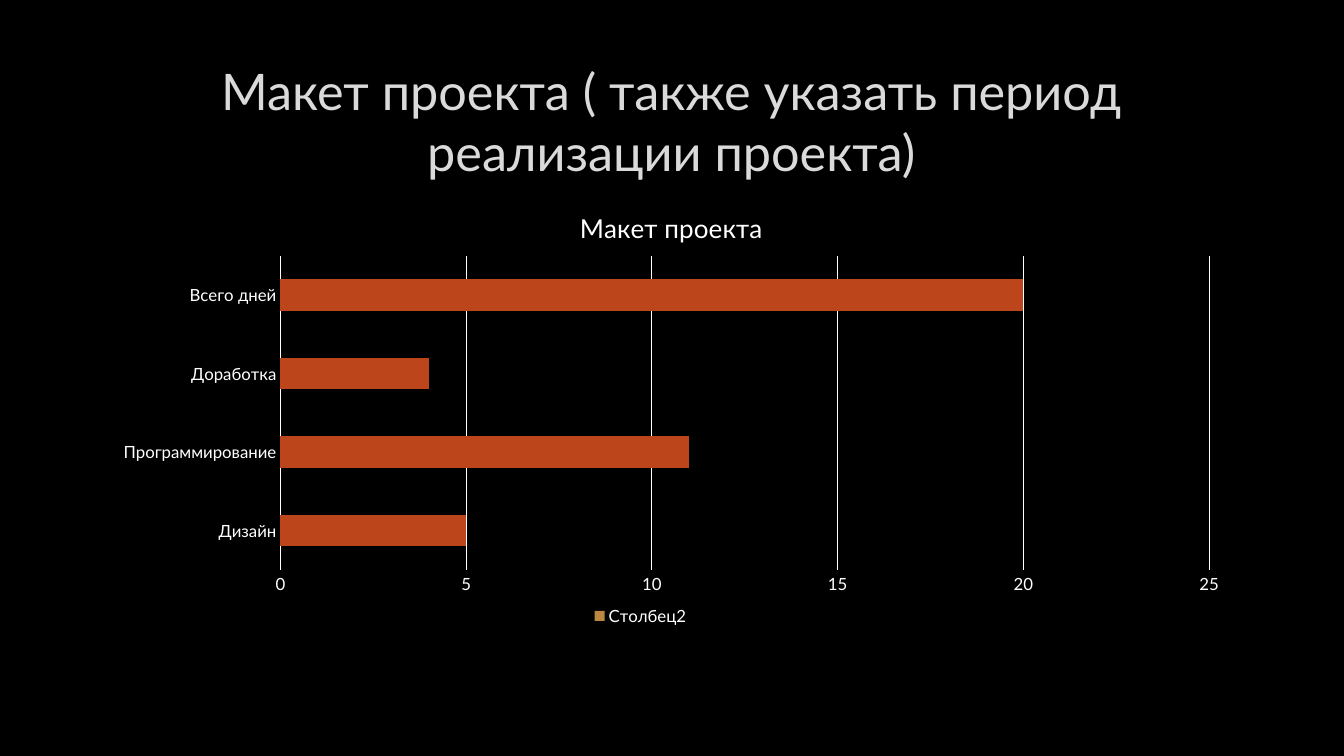
from lxml import etree
from pptx import Presentation
from pptx.chart.data import CategoryChartData
from pptx.dml.color import RGBColor
from pptx.enum.chart import XL_CHART_TYPE, XL_LEGEND_POSITION, XL_TICK_MARK
from pptx.enum.text import MSO_ANCHOR, PP_ALIGN
from pptx.oxml.ns import qn
from pptx.util import Pt

BAR_STACKED = XL_CHART_TYPE.BAR_STACKED
BOTTOM = XL_LEGEND_POSITION.BOTTOM
NO_TICK = XL_TICK_MARK.NONE
MIDDLE = MSO_ANCHOR.MIDDLE
CENTER = PP_ALIGN.CENTER

TITLE = "Макет проекта ( также указать период реализации проекта)"
CHART_TITLE = "Макет проекта"
STAGES = ["Дизайн", "Программирование", "Доработка", "Всего дней"]
# Name, values and colour; the empty series have no legend entry
SERIES = [
    ("Количество дней", [5, 11, 4, 20], "days"),
    ("Столбец1", [None] * 4, "column 1"),
    ("Столбец2", [None] * 4, "column 2"),
]

COLORS = {
    "background": "000000",
    "title": "DADADA",
    "chart": "FFFFFF",
    "days": "BC451B",
    "column 1": "D3BA68",
    "column 2": "BB8640",
}
FONT = "Lato"
SLIDE_SIZE = (960, 540)
LEFT, WIDTH = 72, 815
TITLE_TOP, TITLE_HEIGHT = 48, 76.5
CHART_TOP, CHART_HEIGHT = 136, 320
# Left, top, width and height as percentages of the chart
PLOT_LAYOUT = (15.75, 14.6, 81.4, 70.1)
LEGEND_LAYOUT = (39.8, 92, 15, 6)


def color(name):
    return RGBColor.from_string(COLORS[name])


def set_font(font, size, color_name):
    for attribute, value in {"name": FONT, "size": Pt(size), "bold": False}.items():
        setattr(font, attribute, value)
    font.color.rgb = color(color_name)


def set_line(line):
    line.color.rgb = color("chart")
    line.width = Pt(0.75)


def set_layout(parent, position, percentages, inner=False):
    """Fix a chart part's place; the layout becomes child number `position`."""
    for old_layout in parent.findall(qn("c:layout")):
        parent.remove(old_layout)
    layout = etree.Element(qn("c:layout"))
    manual = etree.SubElement(layout, qn("c:manualLayout"))
    settings = [("layoutTarget", "inner")] if inner else []
    settings += [("xMode", "edge"), ("yMode", "edge")]
    settings += zip("xywh", (value / 100 for value in percentages))
    for tag, value in settings:
        etree.SubElement(manual, qn(f"c:{tag}")).set("val", str(value))
    parent.insert(position, layout)


def hide_legend_entry(legend_element, index):
    entry = etree.Element(qn("c:legendEntry"))
    etree.SubElement(entry, qn("c:idx")).set("val", str(index))
    etree.SubElement(entry, qn("c:delete")).set("val", "1")
    legend_element.insert(index, entry)


def add_title(slide):
    box = slide.shapes.add_textbox(Pt(LEFT), Pt(TITLE_TOP), Pt(WIDTH), Pt(TITLE_HEIGHT))
    frame = box.text_frame
    frame.word_wrap = True
    frame.vertical_anchor = MIDDLE
    paragraph = frame.paragraphs[0]
    paragraph.text = TITLE
    paragraph.alignment = CENTER
    set_font(paragraph.runs[0].font, 36, "title")


def add_days_chart(slide):
    data = CategoryChartData()
    data.categories = STAGES
    for name, values, _ in SERIES:
        data.add_series(name, values)
    chart = slide.shapes.add_chart(
        BAR_STACKED, Pt(LEFT), Pt(CHART_TOP), Pt(WIDTH), Pt(CHART_HEIGHT), data
    ).chart
    set_font(chart.font, 12, "chart")

    chart.has_title = True
    title_paragraph = chart.chart_title.text_frame.paragraphs[0]
    title_paragraph.text = CHART_TITLE
    set_font(title_paragraph.runs[0].font, 18.6, "chart")

    plot = chart.plots[0]
    for attribute, value in {"gap_width": 150, "overlap": 100, "vary_by_categories": False}.items():
        setattr(plot, attribute, value)
    for series, (_, _, color_name) in zip(plot.series, SERIES):
        fill = series.format.fill
        fill.solid()
        fill.fore_color.rgb = color(color_name)

    for axis in (chart.category_axis, chart.value_axis):
        axis.major_tick_mark = axis.minor_tick_mark = NO_TICK
        set_font(axis.tick_labels.font, 12, "chart")
    set_line(chart.category_axis.format.line)
    value_axis = chart.value_axis
    value_axis.format.line.fill.background()
    for attribute, value in {"minimum_scale": 0, "maximum_scale": 25, "major_unit": 5}.items():
        setattr(value_axis, attribute, value)
    set_line(value_axis.major_gridlines.format.line)

    chart.has_legend = True
    legend = chart.legend
    legend.position = BOTTOM
    legend.include_in_layout = False
    set_font(legend.font, 12, "chart")

    chart_element = chart.element.find(qn("c:chart"))
    set_layout(chart_element.find(qn("c:plotArea")), 0, PLOT_LAYOUT, inner=True)
    legend_element = chart_element.find(qn("c:legend"))
    set_layout(legend_element, 1, LEGEND_LAYOUT)
    for index in range(1, len(SERIES)):
        hide_legend_entry(legend_element, index)


def main():
    presentation = Presentation()
    presentation.slide_width, presentation.slide_height = map(Pt, SLIDE_SIZE)
    slide = presentation.slides.add_slide(presentation.slide_layouts[6])
    background = slide.background.fill
    background.solid()
    background.fore_color.rgb = color("background")
    add_title(slide)
    add_days_chart(slide)
    presentation.save("out.pptx")


if __name__ == "__main__":
    main()
